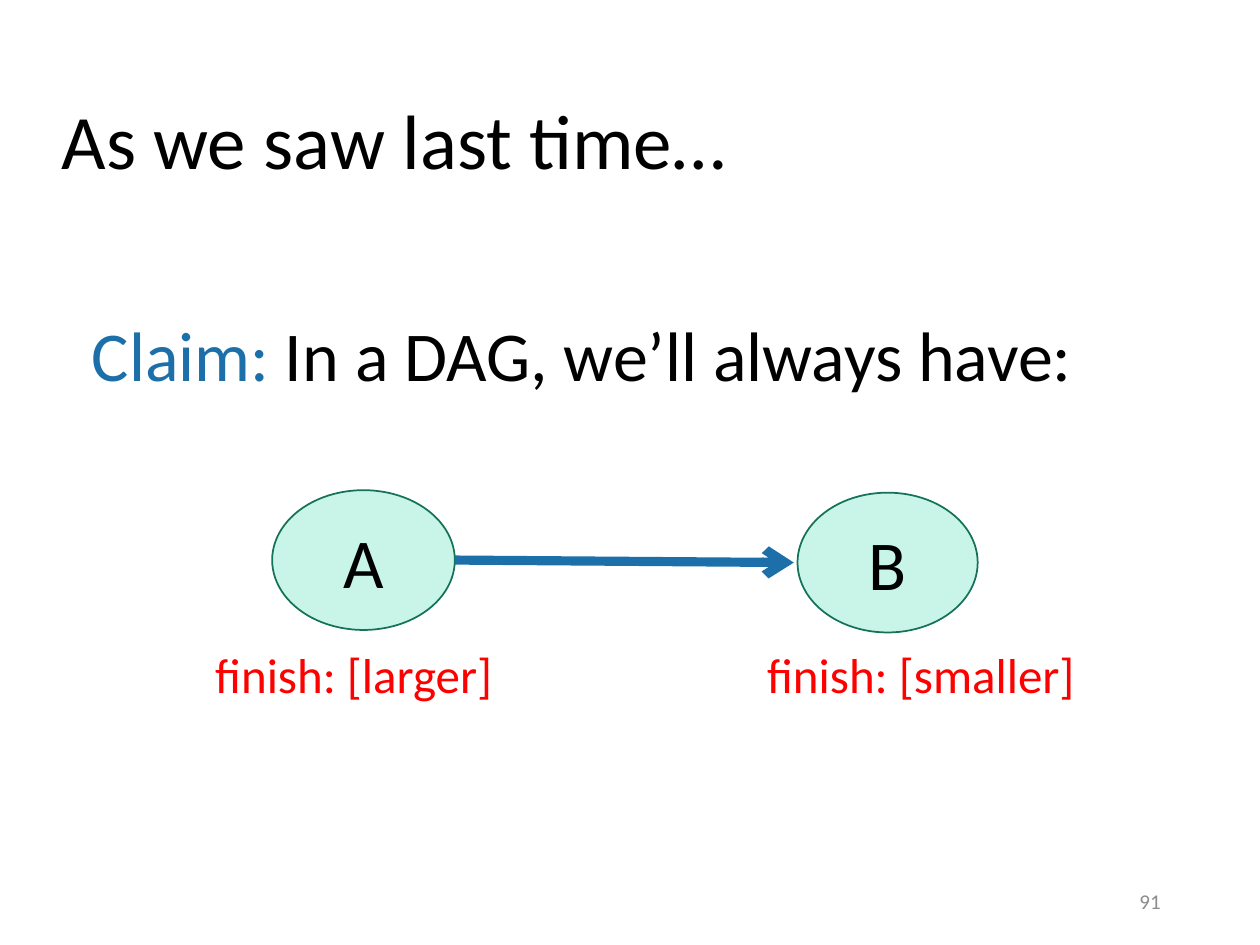
from dataclasses import dataclass

import lxml.etree
import pptx
import pptx.dml.color
import pptx.enum.shapes
import pptx.enum.text
import pptx.oxml.ns
import pptx.util

ALIGN = pptx.enum.text.PP_ALIGN
ANCHOR = pptx.enum.text.MSO_ANCHOR
COLS, ROWS = 100, 75
UNIT = pptx.util.Inches(0.1)


@dataclass(frozen=True)
class Theme:
    font: str = "Calibri"
    ink: str = "000000"
    blue: str = "1D6FA9"
    red: str = "FF0000"
    gray: str = "8C8C8C"
    mint: str = "C8F5E8"
    green: str = "157259"
    title: int = 44
    body: int = 40
    label: int = 28
    small: int = 12
    edge: float = 5.25


@dataclass(frozen=True)
class Area:
    """Left, top, width and height in columns and rows of the grid."""
    col: float
    row: float
    wide: float
    high: float

    def place(self) -> list[int]:
        return [grid(n) for n in (self.col, self.row, self.wide, self.high)]


@dataclass(frozen=True)
class Node:
    name: str
    area: Area
    note: str
    below: Area


THEME = Theme()
NODES = (
    Node("A", Area(21.6, 38.9, 14.5, 11.1), "finish: [larger]", Area(16.1, 50.7, 28.7, 5.7)),
    Node("B", Area(63.3, 39.1, 14.3, 11.1), "finish: [smaller]", Area(59.9, 50.7, 29.6, 5.7)),
)


def grid(count: float) -> int:
    return round(count * UNIT)


def rgb(code: str) -> pptx.dml.color.RGBColor:
    return pptx.dml.color.RGBColor.from_string(code)


def write(shape, *parts: tuple[str, str], size: int, align=ALIGN.LEFT,
          anchor=ANCHOR.TOP, lead: float = 1.0) -> None:
    """Fill a shape with one paragraph of (text, colour) parts."""
    frame = shape.text_frame
    frame.word_wrap = True
    frame.vertical_anchor = anchor
    para = frame.paragraphs[0]
    para.alignment = align
    para.line_spacing = lead
    for text, color in parts:
        run = para.add_run()
        run.text = text
        run.font.name = THEME.font
        run.font.size = pptx.util.Pt(size)
        run.font.color.rgb = rgb(color)


def label(slide, area: Area, *parts: tuple[str, str], **style) -> None:
    write(slide.shapes.add_textbox(*area.place()), *parts, **style)


def draw(slide, node: Node) -> None:
    oval = slide.shapes.add_shape(pptx.enum.shapes.MSO_SHAPE.OVAL, *node.area.place())
    oval.shadow.inherit = False
    oval.fill.solid()
    oval.fill.fore_color.rgb = rgb(THEME.mint)
    oval.line.color.rgb = rgb(THEME.green)
    oval.line.width = pptx.util.Pt(1)
    write(oval, (node.name, THEME.ink), size=THEME.body,
          align=ALIGN.CENTER, anchor=ANCHOR.MIDDLE)
    label(slide, node.below, (node.note, THEME.red), size=THEME.label)


def link(slide, start: Area, end: Area, gap: float = 0.3) -> None:
    """Draw an arrow from one node's right side to just before the next."""
    tip = (end.col - gap, end.row + end.high / 2)
    base = (start.col + start.wide, start.row + start.high / 2)
    line = slide.shapes.add_connector(pptx.enum.shapes.MSO_CONNECTOR.STRAIGHT,
                                      *[grid(n) for n in tip + base])
    line.line.color.rgb = rgb(THEME.blue)
    line.line.width = pptx.util.Pt(THEME.edge)
    name = pptx.oxml.ns.qn
    lxml.etree.SubElement(line.line._get_or_add_ln(), name("a:headEnd"), type="arrow")
    lxml.etree.SubElement(line._element.spPr, name("a:effectLst"))


def main() -> None:
    deck = pptx.Presentation()
    deck.slide_width, deck.slide_height = grid(COLS), grid(ROWS)
    slide = deck.slides.add_slide(deck.slide_layouts[6])
    label(slide, Area(3.9, 4.2, 86.2, 14.5), ("As we saw last time…", THEME.ink),
          size=THEME.title, anchor=ANCHOR.MIDDLE, lead=0.9)
    for node in NODES:
        draw(slide, node)
    link(slide, NODES[0].area, NODES[1].area)
    label(slide, Area(6.3, 24.2, 100.2, 21.2), ("Claim:", THEME.blue),
          (" In a DAG, we’ll always have:", THEME.ink), size=THEME.body)
    label(slide, Area(70.6, 69.5, 22.5, 4), ("91", THEME.gray), size=THEME.small,
          align=ALIGN.RIGHT, anchor=ANCHOR.MIDDLE)
    deck.save("out.pptx")


if __name__ == "__main__":
    main()
